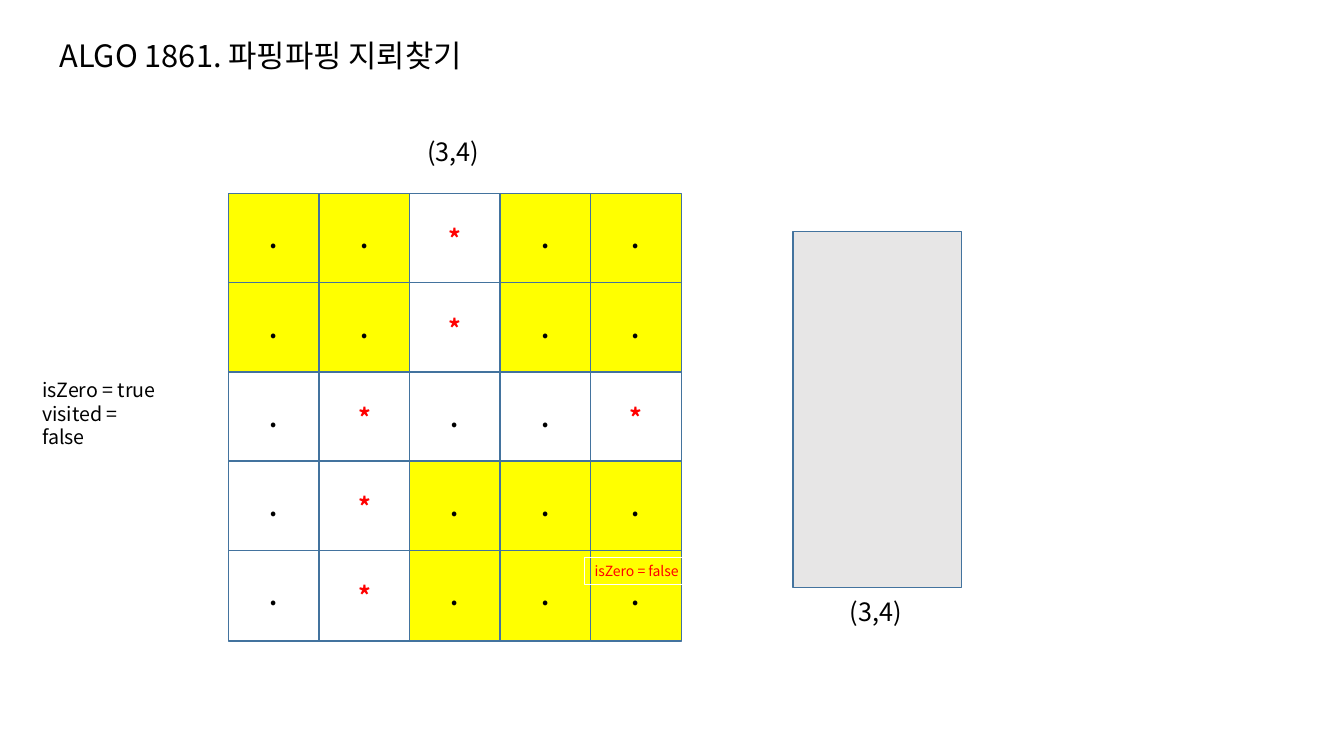
from dataclasses import dataclass

from pptx import Presentation
from pptx.dml.color import RGBColor
from pptx.enum.shapes import MSO_SHAPE
from pptx.enum.text import MSO_ANCHOR, PP_ALIGN
from pptx.oxml.ns import qn
from pptx.shapes.autoshape import Shape
from pptx.slide import Slide
from pptx.util import Pt

FONT = "Noto Sans CJK KR"
BLACK = RGBColor(0x00, 0x00, 0x00)
WHITE = RGBColor(0xFF, 0xFF, 0xFF)
RED = RGBColor(0xFF, 0x00, 0x00)
YELLOW = RGBColor(0xFF, 0xFF, 0x00)
GRAY = RGBColor(0xE7, 0xE6, 0xE6)
BLUE = RGBColor(0x43, 0x73, 0x9E)

BOARD = ["..*..", "..*..", ".*..*", ".*...", ".*..."]
OPENED = ["YY-YY", "YY-YY", "-----", "--YYY", "--YYY"]
BOARD_LEFT, BOARD_TOP = 163.4, 138.2
STEP_X, STEP_Y = 64.62, 63.72
CELL = 64.8


@dataclass(frozen=True)
class Box:
    left: float
    top: float
    width: float
    height: float


@dataclass(frozen=True)
class Label:
    box: Box
    lines: tuple[str, ...]
    size: float
    color: RGBColor = BLACK
    wrap: bool = False
    outlined: bool = False


LABELS = [
    Label(Box(298.1, 93.6, 54.7, 28.8), ("(3,4)",), 18),
    Label(Box(23, 266.4, 101.5, 41), ("isZero = true", "visited = false"), 14, wrap=True),
    Label(Box(599.8, 422.6, 54.7, 28.8), ("(3,4)",), 18),
    Label(Box(417.6, 398.2, 77, 19.4), ("isZero = false",), 10, RED, True, True),
]


def write(sp: Shape, lines: tuple[str, ...], size: float, color: RGBColor,
          align: PP_ALIGN = PP_ALIGN.LEFT, bold: bool = False) -> None:
    tf = sp.text_frame
    tf.text = "\n".join(lines)
    for p in tf.paragraphs:
        p.alignment = align
        p.font.name = FONT
        p.font.size = Pt(size)
        p.font.bold = bold
        p.font.color.rgb = color
        for r in p.runs:
            ea = r.font._element.makeelement(qn("a:ea"), {"typeface": FONT})
            r.font._element.append(ea)


def add_rect(s: Slide, box: Box, fill: RGBColor) -> Shape:
    sp = s.shapes.add_shape(MSO_SHAPE.RECTANGLE, Pt(box.left), Pt(box.top),
                            Pt(box.width), Pt(box.height))
    sp.shadow.inherit = False
    sp.fill.solid()
    sp.fill.fore_color.rgb = fill
    sp.line.color.rgb = BLUE
    sp.line.width = Pt(1)
    return sp


def add_board(s: Slide) -> None:
    for row, (marks, opened) in enumerate(zip(BOARD, OPENED)):
        for col, (mark, state) in enumerate(zip(marks, opened)):
            box = Box(BOARD_LEFT + col * STEP_X, BOARD_TOP + row * STEP_Y, CELL, CELL)
            sp = add_rect(s, box, YELLOW if state == "Y" else WHITE)
            sp.text_frame.vertical_anchor = MSO_ANCHOR.MIDDLE
            write(sp, (mark,), 18, RED if mark == "*" else BLACK, PP_ALIGN.CENTER, True)


def add_label(s: Slide, label: Label) -> None:
    box = label.box
    sp = s.shapes.add_textbox(Pt(box.left), Pt(box.top), Pt(box.width), Pt(box.height))
    sp.text_frame.word_wrap = label.wrap
    if label.outlined:
        sp.line.color.rgb = WHITE
        sp.line.width = Pt(0.75)
    write(sp, label.lines, label.size, label.color)


def add_title(s: Slide, text: str) -> None:
    sp = s.shapes.title
    sp.left, sp.top, sp.width, sp.height = Pt(35.3), Pt(22.3), Pt(338.4), Pt(33.8)
    sp.text_frame.word_wrap = True
    sp.text_frame.vertical_anchor = MSO_ANCHOR.TOP
    write(sp, (text,), 22, BLACK)


def main() -> None:
    prs = Presentation()
    prs.slide_width, prs.slide_height = Pt(960), Pt(540)
    s = prs.slides.add_slide(prs.slide_layouts[5])
    add_title(s, "ALGO 1861. 파핑파핑 지뢰찾기")
    add_board(s)
    add_rect(s, Box(566.6, 165.6, 120.2, 254.2), GRAY)
    for label in LABELS:
        add_label(s, label)
    prs.save("out.pptx")


if __name__ == "__main__":
    main()
